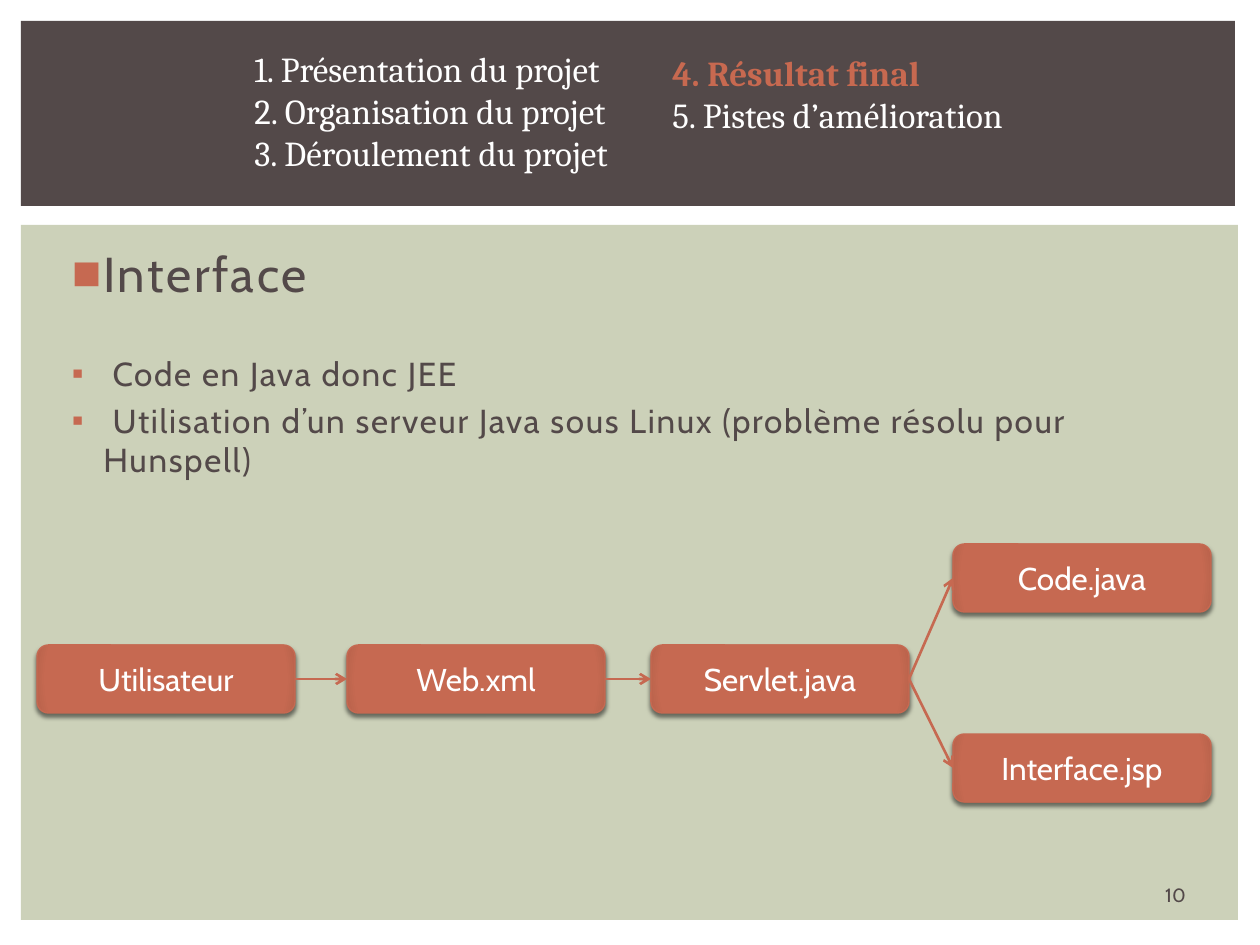
import pptx
import pptx.util
import pptx.dml.color
import pptx.enum.shapes
import pptx.enum.text
import pptx.oxml
import pptx.oxml.ns

PX = 914400 / 126
COLORS = {
    "band": "534949",
    "panel": "CCD1B9",
    "text": "534949",
    "white": "FFFFFF",
    "accent": "C66951",
    "current": "C76950",
    "edge": "B8624B",
}
NS = pptx.oxml.ns.nsdecls("a")
ALIGN = pptx.enum.text.PP_ALIGN
ANCHOR = pptx.enum.text.MSO_ANCHOR
SHAPE = pptx.enum.shapes.MSO_SHAPE


def px(*lengths):
    return [pptx.util.Emu(round(n * PX)) for n in lengths]


def rgb(name):
    return pptx.dml.color.RGBColor.from_string(COLORS[name])


def xml(text):
    return pptx.oxml.parse_xml(text)


class Deck:
    heading_font = "Cambria"
    body_font = "Cabin"

    def __init__(self, width, height):
        self.prs = pptx.Presentation()
        self.prs.slide_width, self.prs.slide_height = px(width, height)
        self.s = None

    def add_slide(self):
        self.s = self.prs.slides.add_slide(self.prs.slide_layouts[1])
        title = self.s.shapes.title._element
        title.getparent().remove(title)

    def run(self, p, text, size, color, font, bold=False, spacing=0):
        r = p.add_run()
        r.text = text
        r.font.size = pptx.util.Pt(size)
        r.font.name = font
        r.font.bold = bold
        r.font.color.rgb = rgb(color)
        if spacing:
            r._r.get_or_add_rPr().set("spc", str(int(spacing * 100)))

    def panel(self, box, color):
        sp = self.s.shapes.add_shape(SHAPE.RECTANGLE, *px(*box))
        sp.shadow.inherit = False
        sp.fill.solid()
        sp.fill.fore_color.rgb = rgb(color)
        sp.line.fill.background()
        # Panels go behind the placeholders
        self.s.shapes._spTree.insert(2, sp._element)

    def outline(self, box, items, current=None):
        tf = self.s.shapes.add_textbox(*px(*box)).text_frame
        tf.word_wrap = False
        for i, item in enumerate(items):
            p = tf.paragraphs[0] if i == 0 else tf.add_paragraph()
            active = item == current
            self.run(p, item, 20, "current" if active else "white",
                     self.heading_font, bold=active)

    def bullets(self, box, items):
        sp = self.s.placeholders[1]
        sp.left, sp.top, sp.width, sp.height = px(*box)
        tf = sp.text_frame
        tf.auto_size = pptx.enum.text.MSO_AUTO_SIZE.NONE
        for i, (mark, text, size, spacing, before) in enumerate(items):
            p = tf.paragraphs[0] if i == 0 else tf.add_paragraph()
            p.space_before = pptx.util.Pt(before)
            pPr = p._p.get_or_add_pPr()
            pPr.set("marL", str(pptx.util.Inches(0.3)))
            pPr.set("indent", str(pptx.util.Inches(-0.25)))
            pPr.append(xml(f'<a:buClr {NS}><a:srgbClr val="{COLORS["accent"]}"/></a:buClr>'))
            pPr.append(xml(f'<a:buFont {NS} typeface="Arial"/>'))
            pPr.append(xml(f'<a:buChar {NS} char="{mark}"/>'))
            self.run(p, text, size, "text", self.body_font, spacing=spacing)

    def node(self, box, text):
        sp = self.s.shapes.add_shape(SHAPE.ROUNDED_RECTANGLE, *px(*box))
        sp.line.color.rgb = rgb("accent")
        sp.line.width = pptx.util.Pt(0.79)
        # Radial fill, darker at the edge
        stops = "".join(
            f'<a:gs pos="{pos}000"><a:srgbClr val="{COLORS[name]}"/></a:gs>'
            for pos, name in ((0, "accent"), (90, "accent"), (100, "edge")))
        sp._element.spPr.find(pptx.oxml.ns.qn("a:prstGeom")).addnext(xml(
            f'<a:gradFill {NS} rotWithShape="1"><a:gsLst>{stops}</a:gsLst>'
            '<a:path path="circle"><a:fillToRect l="100000" t="100000" '
            'r="100000" b="100000"/></a:path></a:gradFill>'))
        # Soft shadow below
        sp.shadow.inherit = False
        sp._element.spPr.find(pptx.oxml.ns.qn("a:effectLst")).append(xml(
            f'<a:outerShdw {NS} blurRad="31750" dist="25400" dir="5400000" '
            'rotWithShape="0"><a:srgbClr val="000000"><a:alpha val="50000"/>'
            '</a:srgbClr></a:outerShdw>'))
        tf = sp.text_frame
        tf.vertical_anchor = ANCHOR.MIDDLE
        p = tf.paragraphs[0]
        p.alignment = ALIGN.CENTER
        self.run(p, text, 18, "white", self.body_font)
        return sp

    def arrow(self, start, end):
        c = self.s.shapes.add_connector(
            pptx.enum.shapes.MSO_CONNECTOR.STRAIGHT, 0, 0, 0, 0)
        c.begin_connect(start, 3)
        c.end_connect(end, 1)
        c.line.color.rgb = rgb("accent")
        c.line.width = pptx.util.Pt(1.5)
        c.line._get_or_add_ln().append(xml(f'<a:tailEnd {NS} type="arrow"/>'))
        c._element.spPr.append(xml(f'<a:effectLst {NS}/>'))

    def page_number(self, box, text):
        tf = self.s.shapes.add_textbox(*px(*box)).text_frame
        tf.word_wrap = True
        tf.vertical_anchor = ANCHOR.MIDDLE
        p = tf.paragraphs[0]
        p.alignment = ALIGN.CENTER
        self.run(p, text, 11, "text", self.body_font)


def main():
    deck = Deck(1260, 945)
    deck.add_slide()

    # Background panels
    deck.panel((21, 225, 1217, 695), "panel")
    deck.panel((21, 21, 1214, 185), "band")

    # Header outline
    deck.outline((242, 41, 406, 140), [
        "1. Présentation du projet",
        "2. Organisation du projet",
        "3. Déroulement du projet"])
    deck.outline((660, 45, 379, 97), [
        "4. Résultat final",
        "5. Pistes d’amélioration"], current="4. Résultat final")

    # Body list: mark, text, size, letter spacing, space before
    deck.bullets((53, 237, 1158, 607), [
        ("■", "Interface", 28, 1.5, 0),
        ("▪", " Code en Java donc JEE", 19, 1, 29),
        ("▪", " Utilisation d’un serveur Java sous Linux "
              "(problème résolu pour Hunspell)", 19, 1, 4)])

    # Request flow
    places = {
        "Utilisateur": (37, 645),
        "Web.xml": (347, 645),
        "Servlet.java": (651, 645),
        "Code.java": (953, 544),
        "Interface.jsp": (953, 734),
    }
    nodes = {name: deck.node((x, y, 258, 68), name)
             for name, (x, y) in places.items()}
    for start, end in (("Utilisateur", "Web.xml"),
                       ("Web.xml", "Servlet.java"),
                       ("Servlet.java", "Code.java"),
                       ("Servlet.java", "Interface.jsp")):
        deck.arrow(nodes[start], nodes[end])

    deck.page_number((1135, 876, 81, 38), "10")
    deck.prs.save("out.pptx")


if __name__ == "__main__":
    main()
